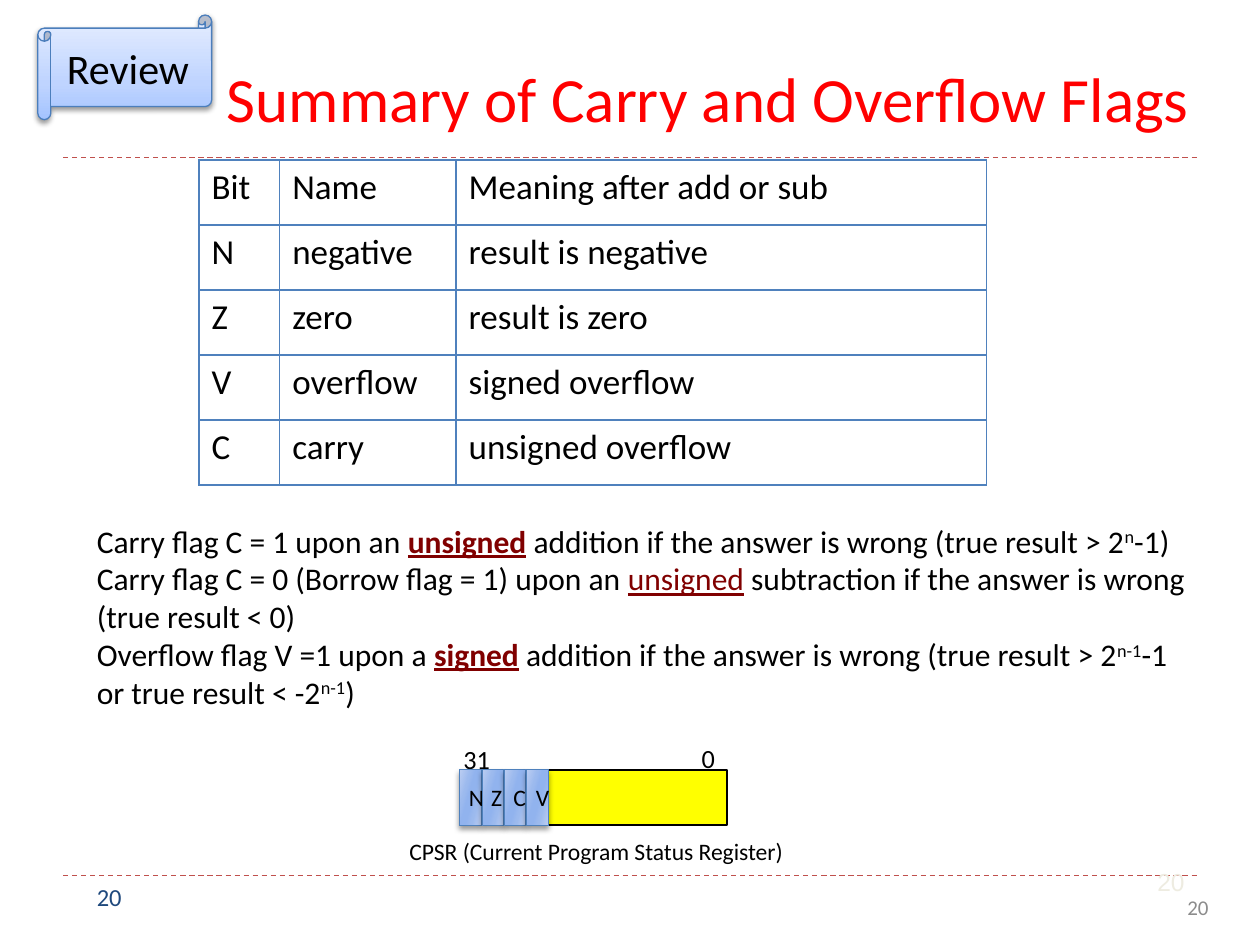
from lxml import etree
from pptx import Presentation
from pptx import util as u
from pptx.dml import color
from pptx.enum import dml, shapes, text
from pptx.oxml import ns

ALIGN = text.PP_ALIGN
ANCHOR = text.MSO_ANCHOR


def rgb(value):
    return color.RGBColor.from_string(value)


def set_font(paragraph, size, value="000000", name="Calibri"):
    paragraph.font.size = u.Pt(size)
    paragraph.font.name = name
    paragraph.font.color.rgb = rgb(value)


presentation = Presentation()
presentation.slide_width = u.Inches(10)
presentation.slide_height = u.Inches(7.5)
slide = presentation.slides.add_slide(presentation.slide_layouts[5])

for y in (6.95, 1.25):
    rule = slide.shapes.add_connector(
        shapes.MSO_CONNECTOR.STRAIGHT, u.Inches(0.5), u.Inches(y), u.Inches(9.5), u.Inches(y))
    rule.line.color.rgb = rgb("C0504D")
    rule.line.width = u.Pt(0.75)
    rule.line.dash_style = dml.MSO_LINE.DASH
    etree.SubElement(rule._element.spPr, ns.qn("a:effectLst"))

title = slide.shapes.title
title.left, title.top = u.Inches(1.12), u.Inches(0.04)
title.width, title.height = u.Inches(9), u.Inches(1.08)
title.text_frame.text = "Summary of Carry and Overflow Flags"
title.text_frame.vertical_anchor = ANCHOR.BOTTOM
title.text_frame.paragraphs[0].alignment = ALIGN.CENTER
set_font(title.text_frame.paragraphs[0], 36, "FF0000")

labels = [
    ("20", (6.58, 7, 3.11, 0.4), 12, "8C8C8C", "Calibri", ALIGN.RIGHT, ANCHOR.MIDDLE, True),
    ("20", (0.67, 6.95, 2.17, 0.4), 14, "1F497D", "Calibri", ALIGN.LEFT, ANCHOR.TOP, True),
    ("20", (7.17, 6.83, 2.33, 0.52), 14, "EEECE1", "Arial", ALIGN.RIGHT, ANCHOR.TOP, True),
    ("31", (3.58, 5.85, 0.42, 0.35), 15, "000000", "Calibri", ALIGN.LEFT, ANCHOR.TOP, False),
    ("0", (5.47, 5.84, 0.31, 0.35), 15, "000000", "Calibri", ALIGN.LEFT, ANCHOR.TOP, False),
    ("CPSR (Current Program Status Register)", (3.15, 6.59, 3.22, 0.33), 13.5, "000000",
     "Calibri", ALIGN.LEFT, ANCHOR.TOP, False),
]

register = slide.shapes.add_shape(
    shapes.MSO_SHAPE.RECTANGLE, u.Inches(3.65), u.Inches(6.11), u.Inches(2.12), u.Inches(0.44))
register.shadow.inherit = False
register.fill.solid()
register.fill.fore_color.rgb = rgb("FFFF00")
register.line.color.rgb = rgb("000000")
register.line.width = u.Pt(1)

for label, box, size, value, name, alignment, anchor, wrap in labels:
    frame = slide.shapes.add_textbox(*map(u.Inches, box)).text_frame
    frame.word_wrap = wrap
    frame.vertical_anchor = anchor
    paragraph = frame.paragraphs[0]
    paragraph.text = label
    paragraph.alignment = alignment
    set_font(paragraph, size, value, name)

notes = [
    [("Carry flag C = 1 upon an ", ""), ("unsigned", "bold"),
     (" addition if the answer is wrong (true result > 2", ""), ("n", "super"), ("-1)", "")],
    [("Carry flag C = 0 (Borrow flag = 1) upon an ", ""), ("unsigned", "underline"),
     (" subtraction if the answer is wrong (true result < 0)", "")],
    [("Overflow flag V =1 upon a ", ""), ("signed", "bold"),
     (" addition if the answer is wrong (true result > 2", ""), ("n-1", "super"),
     ("-1 or true result < -2", ""), ("n-1", "super"), (")", "")],
]
frame = slide.shapes.add_textbox(
    u.Inches(0.67), u.Inches(3.7), u.Inches(8.84), u.Inches(2.57)).text_frame
frame.word_wrap = True
frame.margin_top = u.Inches(0.44)
for index, note in enumerate(notes):
    paragraph = frame.add_paragraph() if index else frame.paragraphs[0]
    set_font(paragraph, 18)
    for words, style in note:
        run = paragraph.add_run()
        run.text = words
        if style == "super":
            run._r.get_or_add_rPr().set("baseline", "30000")
        elif style:
            run.font.underline = True
            run.font.color.rgb = rgb("800000")
            if style == "bold":
                run.font.bold = True

rows = [
    ("Bit", "Name", "Meaning after add or sub"),
    ("N", "negative", "result is negative"),
    ("Z", "zero", "result is zero"),
    ("V", "overflow", "signed overflow"),
    ("C", "carry", "unsigned overflow"),
]
table = slide.shapes.add_table(
    len(rows), 3, u.Inches(1.58), u.Inches(1.27), u.Inches(6.25), u.Inches(2.58)).table
table.first_row = False
table.horz_banding = False
for column, width in zip(table.columns, (0.64, 1.4, 4.21)):
    column.width = u.Inches(width)
for row_index, row in enumerate(rows):
    for column_index, words in enumerate(row):
        cell = table.cell(row_index, column_index)
        cell.text = words
        paragraph = cell.text_frame.paragraphs[0]
        paragraph.alignment = ALIGN.JUSTIFY
        set_font(paragraph, 20)
        properties = cell._tc.get_or_add_tcPr()
        for side in ("lnL", "lnR", "lnT", "lnB"):
            border = etree.SubElement(properties, ns.qn(f"a:{side}"), w=str(u.Pt(1)))
            fill = etree.SubElement(border, ns.qn("a:solidFill"))
            etree.SubElement(fill, ns.qn("a:srgbClr"), val="4F81BD")
        cell.fill.background()

flag_stops = [(0, "BCCEF2"), (30, "9CBAEE"), (45, "91B3EE"),
              (55, "91B3EE"), (73, "9CBAEE"), (100, "BCCEF2")]
scroll_stops = [(0, "A4C4FF"), (35, "BFD4FF"), (100, "E6EEFF")]
glossy = [
    (letter, shapes.MSO_SHAPE.RECTANGLE, (3.65 + 0.177 * index, 6.11, 0.17, 0.44),
     flag_stops, 344, "4F81BD", 13.5, 2)
    for index, letter in enumerate("NZCV")
]
glossy.append(("Review", shapes.MSO_SHAPE.HORIZONTAL_SCROLL, (0.3, 0.12, 1.38, 0.83),
               scroll_stops, 90, "4B7EBC", 24, 1.6))

for words, kind, box, stops, angle, line, size, distance in glossy:
    shape = slide.shapes.add_shape(kind, *map(u.Inches, box))
    shape.fill.gradient()
    shape.fill.gradient_angle = angle
    stop_list = shape._element.spPr.find(".//" + ns.qn("a:gsLst"))
    for stop in list(stop_list):
        stop_list.remove(stop)
    for position, value in stops:
        stop = etree.SubElement(stop_list, ns.qn("a:gs"), pos=str(position * 1000))
        etree.SubElement(stop, ns.qn("a:srgbClr"), val=value)
    shape.line.color.rgb = rgb(line)
    shape.line.width = u.Pt(0.75)
    shape.shadow.inherit = False
    shadow = etree.SubElement(
        shape._element.spPr.find(ns.qn("a:effectLst")), ns.qn("a:outerShdw"),
        blurRad=str(u.Pt(3)), dist=str(u.Pt(distance)), dir="5400000", rotWithShape="0")
    shade = etree.SubElement(shadow, ns.qn("a:srgbClr"), val="000000")
    etree.SubElement(shade, ns.qn("a:alpha"), val="40000")
    shape.text_frame.vertical_anchor = ANCHOR.MIDDLE
    paragraph = shape.text_frame.paragraphs[0]
    paragraph.text = words
    paragraph.alignment = ALIGN.CENTER
    set_font(paragraph, size)

presentation.save("out.pptx")
